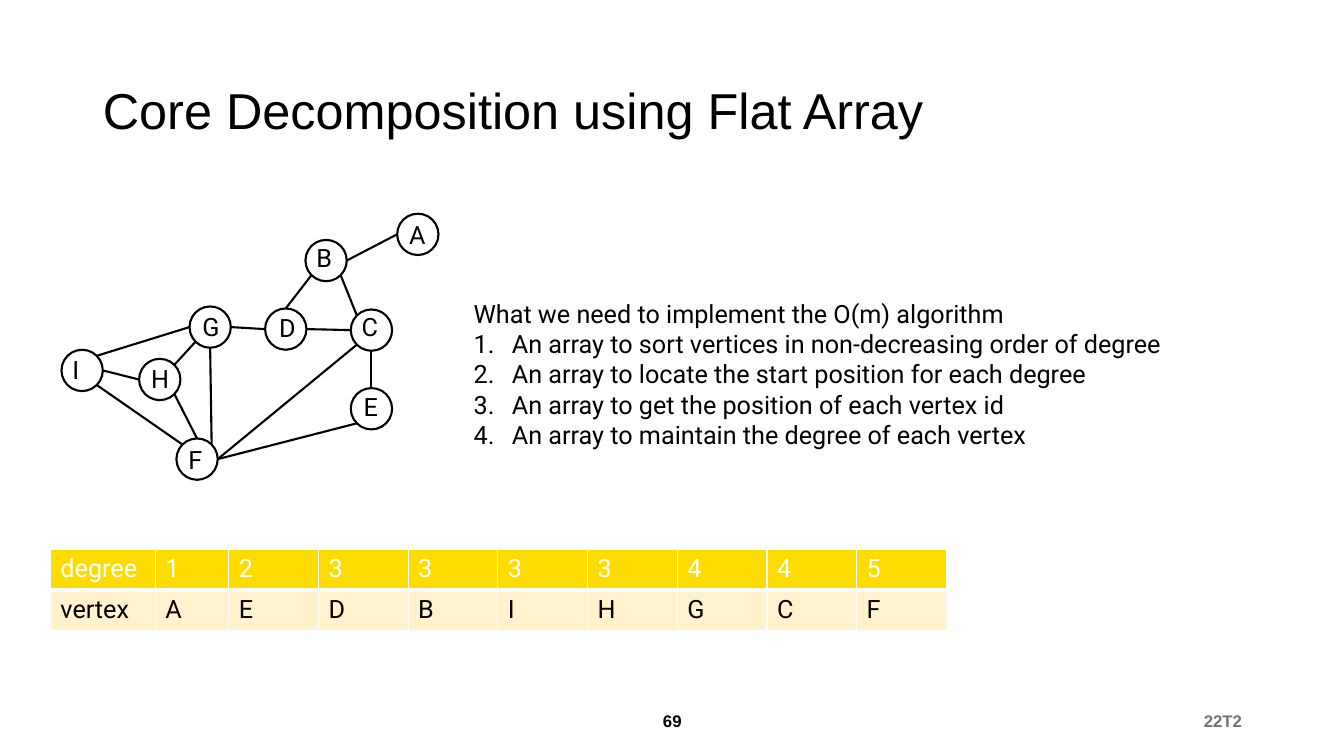
from dataclasses import dataclass
from lxml import etree
from pptx import Presentation
from pptx.dml.color import RGBColor
from pptx.enum.shapes import MSO_CONNECTOR, MSO_SHAPE
from pptx.enum.text import MSO_ANCHOR, MSO_AUTO_SIZE, PP_ALIGN
from pptx.oxml.ns import qn
from pptx.util import Inches, Pt

OVAL, LINE = MSO_SHAPE.OVAL, MSO_CONNECTOR.STRAIGHT
TOP, MIDDLE = MSO_ANCHOR.TOP, MSO_ANCHOR.MIDDLE
LEFT, CENTER, RIGHT = PP_ALIGN.LEFT, PP_ALIGN.CENTER, PP_ALIGN.RIGHT
NO_FIT = MSO_AUTO_SIZE.NONE


@dataclass(frozen=True)
class Theme:
    ink: str = "000000"
    paper: str = "FFFFFF"
    gray: str = "737373"
    gold: str = "FFDC00"
    cream: str = "FFF2CC"
    stroke: float = 1.5
    title = {"name": "Arial", "size": Pt(36), "bold": False}
    body = {"name": "Roboto", "size": Pt(18), "bold": False}
    foot = {"name": "Arial", "size": Pt(12), "bold": True}


THEME = Theme()
UNIT = Inches(0.1)  # one column or row of the slide grid
COLS, ROWS = 133.33, 75

NODE = 4.1
SLANT = 0.5 ** 0.5
SIDES = {"n": (0, -1), "s": (0, 1), "w": (-1, 0), "e": (1, 0),
         "nw": (-SLANT, -SLANT), "ne": (SLANT, -SLANT),
         "sw": (-SLANT, SLANT), "se": (SLANT, SLANT)}
# node: left and top in the graph, then the shift of its letter
NODES = {"A": (33.3, 0, 0.2, 0.1), "B": (24.2, 2.6, 0.1, -0.2),
         "C": (28.7, 9.5, 0.1, -0.3), "D": (20.2, 9.4, 0.4, -0.1),
         "E": (28.7, 17.3, 0.3, -0.2), "F": (11.4, 22.3, 0.2, 0.1),
         "G": (12.7, 9.2, 0.3, 0), "H": (7.7, 14.4, 0.2, 0),
         "I": (0, 13.5, 0.1, 0)}
EDGES = ["A w B e", "B se C nw", "B sw D n", "C w D e", "C s E n",
         "C sw F e", "E sw F e", "G e D w", "G w I ne", "G sw H ne",
         "G s F ne", "H w I e", "H se F n", "I se F nw"]

LEAD = "What we need to implement the O(m) algorithm"
STEPS = ["An array to sort vertices in non-decreasing order of degree",
         "An array to locate the start position for each degree",
         "An array to get the position of each vertex id",
         "An array to maintain the degree of each vertex"]
TABLE = [["degree", *"123333445"], ["vertex", *"AEDBIHGCF"]]
WIDTHS = [10.4, 7.3] + [8.9] * 8


def grid(*cells):
    return [round(cell * UNIT) for cell in cells]


def color(code):
    return RGBColor.from_string(code)


def write(para, text, fmt, ink=THEME.ink, align=LEFT):
    para.alignment = align
    run = para.add_run()
    run.text = text
    for key, value in fmt.items():
        setattr(run.font, key, value)
    run.font.color.rgb = color(ink)


def add_box(slide, box, anchor=TOP):
    frame = slide.shapes.add_textbox(*grid(*box)).text_frame
    frame.word_wrap = True
    frame.vertical_anchor = anchor
    return frame


def add_title(slide, box, text):
    title = slide.shapes.title
    title.left, title.top, title.width, title.height = grid(*box)
    frame = title.text_frame
    frame.auto_size = NO_FIT
    frame.vertical_anchor = MIDDLE
    para = frame.paragraphs[0]
    para.line_spacing = 0.9
    write(para, text, THEME.title)


def add_edge(slide, start, end):
    edge = slide.shapes.add_connector(LINE, *grid(*start, *end))
    edge.line.color.rgb = color(THEME.ink)
    edge.line.width = Pt(THEME.stroke)
    etree.SubElement(edge._element.spPr, qn("a:effectLst"))


def add_node(slide, left, top):
    node = slide.shapes.add_shape(OVAL, *grid(left, top, NODE, NODE))
    node.shadow.inherit = False
    node.fill.solid()
    node.fill.fore_color.rgb = color(THEME.paper)
    node.line.color.rgb = color(THEME.ink)
    node.line.width = Pt(THEME.stroke)


def add_graph(slide, left, top):
    def rim(name, side):
        """Point on a node's rim at a compass side."""
        x, y = NODES[name][:2]
        dx, dy = SIDES[side]
        half = NODE / 2
        return left + x + half * (1 + dx), top + y + half * (1 + dy)

    for edge in EDGES:
        head, out, tail, into = edge.split()
        add_edge(slide, rim(head, out), rim(tail, into))
    for name, (x, y, dx, dy) in NODES.items():
        add_node(slide, left + x, top + y)
        box = (left + x + dx, top + y + dy, 5.3, 4)
        write(add_box(slide, box).paragraphs[0], name, THEME.body)


def add_steps(slide, box):
    frame = add_box(slide, box)
    write(frame.paragraphs[0], LEAD, THEME.body)
    for step in STEPS:
        para = frame.add_paragraph()
        props = para._p.get_or_add_pPr()
        indent = Inches(0.38)
        props.set("marL", str(indent))
        props.set("indent", str(-indent))
        etree.SubElement(props, qn("a:buAutoNum"), type="arabicPeriod")
        write(para, step, THEME.body)


def add_border(cell, base):
    """Draw white cell borders, with the bottom one in its own width."""
    props = cell._tc.get_or_add_tcPr()
    sides = {"lnL": 1, "lnR": 1, "lnT": 1, "lnB": base}
    for spot, (tag, width) in enumerate(sides.items()):
        line = etree.Element(qn("a:" + tag), w=str(Pt(width)))
        fill = etree.SubElement(line, qn("a:solidFill"))
        etree.SubElement(fill, qn("a:srgbClr"), val=THEME.paper)
        props.insert(spot, line)


def add_table(slide, left, top, tall):
    box = grid(left, top, sum(WIDTHS), tall * len(TABLE))
    table = slide.shapes.add_table(len(TABLE), len(WIDTHS), *box).table
    for col, width in zip(table.columns, WIDTHS):
        col.width = round(width * UNIT)
    looks = [(THEME.gold, THEME.paper, 3), (THEME.cream, THEME.ink, 1)]
    for r, (values, (fill, ink, base)) in enumerate(zip(TABLE, looks)):
        table.rows[r].height = round(tall * UNIT)
        for c, value in enumerate(values):
            cell = table.cell(r, c)
            cell.fill.solid()
            cell.fill.fore_color.rgb = color(fill)
            add_border(cell, base)
            write(cell.text_frame.paragraphs[0], value, THEME.body, ink)


def add_foot(slide, top):
    notes = [("22T2", 79.2, 45, THEME.gray, RIGHT),
             ("69", 51.7, 30, THEME.ink, CENTER)]
    for text, left, width, ink, align in notes:
        frame = add_box(slide, (left, top, width, 4), MIDDLE)
        write(frame.paragraphs[0], text, THEME.foot, ink, align)


def main():
    deck = Presentation()
    deck.slide_width, deck.slide_height = grid(COLS, ROWS)
    slide = deck.slides.add_slide(deck.slide_layouts[5])
    add_title(slide, (9.2, 4, 115, 14.5),
              "Core Decomposition using Flat Array")
    add_graph(slide, 6.1, 21.2)
    add_table(slide, 5, 54.5, 4.05)
    add_steps(slide, (46, 29.1, 73.5, 16.2))
    add_foot(slide, 69.5)
    deck.save("out.pptx")


if __name__ == "__main__":
    main()
